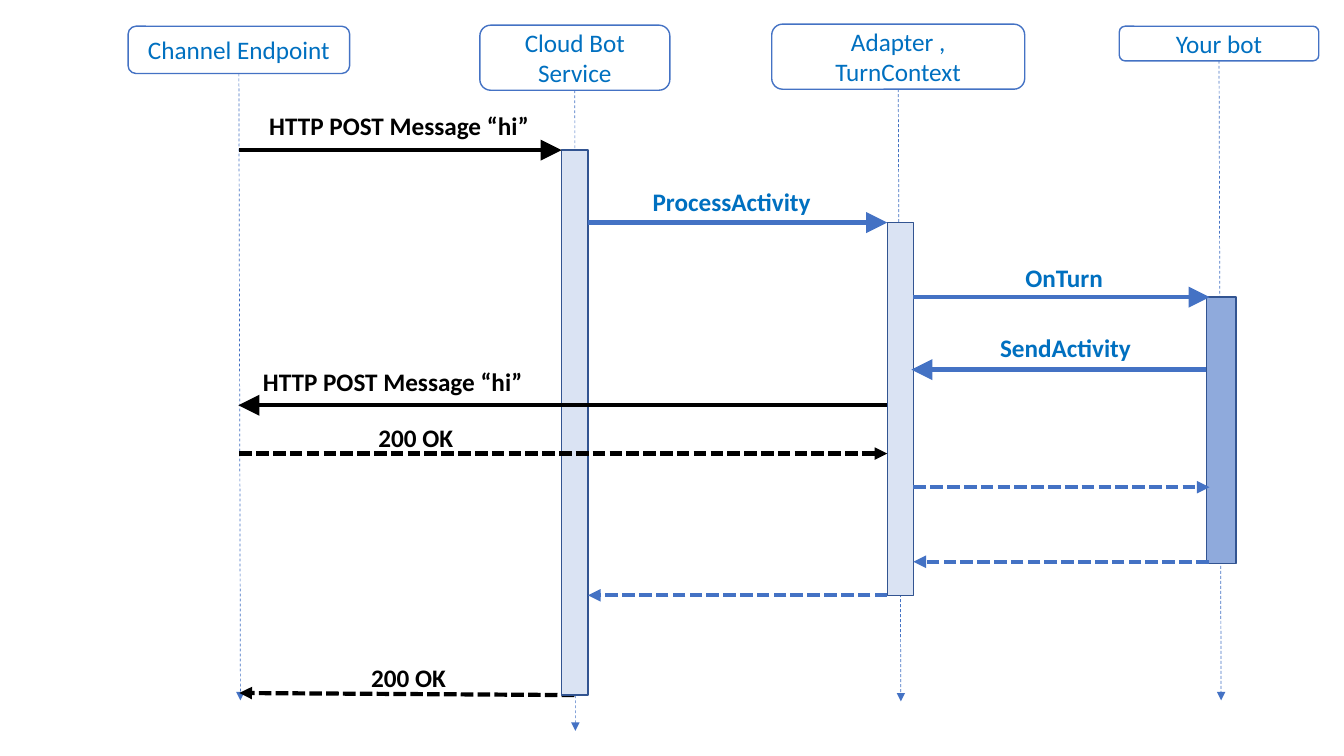
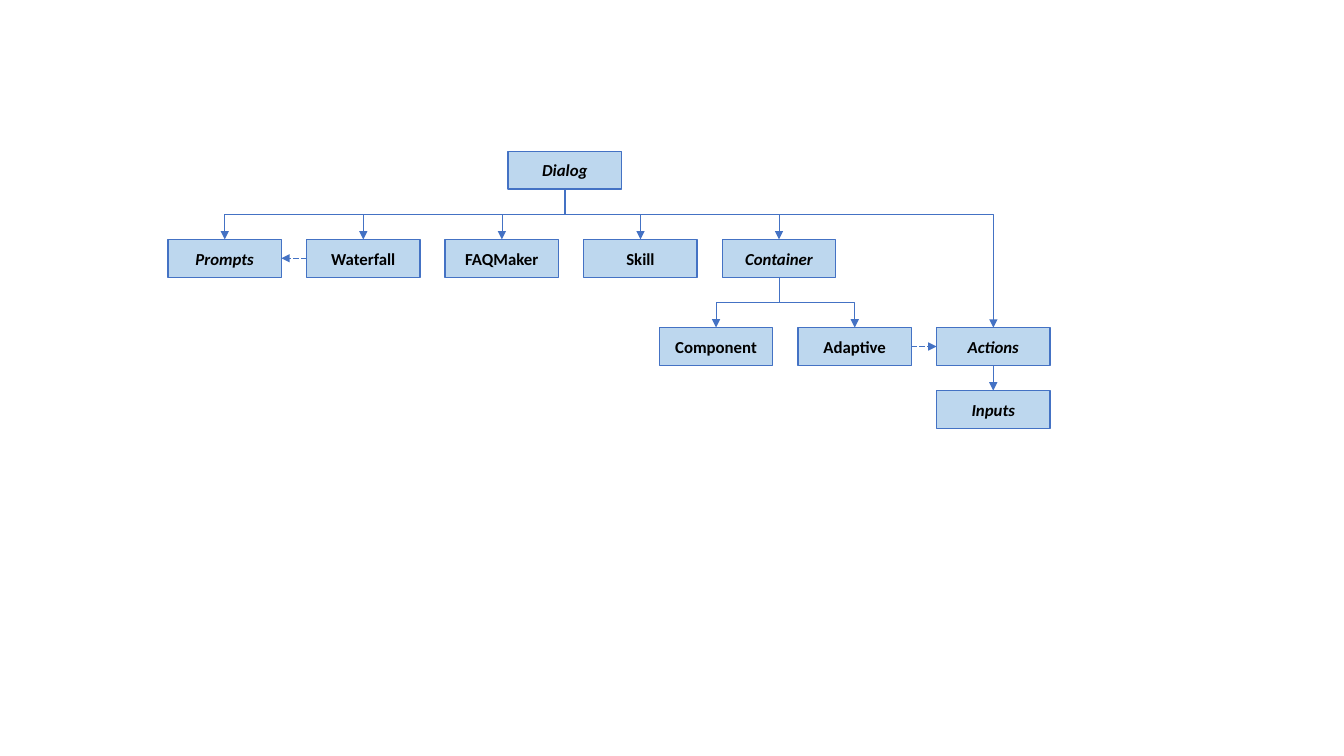
"""Build a bot message sequence slide and a dialog class tree slide."""
from dataclasses import dataclass
from typing import Optional

from lxml import etree
from pptx import Presentation
from pptx import util as u
from pptx.dml.color import RGBColor
from pptx.enum import dml, shapes, text
from pptx.oxml import ns
from pptx.shapes.autoshape import Shape
from pptx.shapes.connector import Connector
from pptx.slide import Slide

EMU_PER_PX = 9525
DASH = dml.MSO_LINE


@dataclass(frozen=True)
class Theme:
    """Colours, font and type sizes shared by the slides."""
    font: str = "Calibri"
    heading_size: int = 18
    node_size: int = 12
    blue: str = "4472C4"
    text_blue: str = "0070C0"
    black: str = "000000"
    bar_line: str = "325491"
    bar_light: str = "DAE3F3"
    bar_dark: str = "8FAADC"
    node_fill: str = "BDD7EE"
    thin: float = 0.5
    outline: float = 1
    thick: float = 3


THEME = Theme()


@dataclass(frozen=True)
class Box:
    """A rectangle in px."""
    left: int
    top: int
    width: int
    height: int

    def emu(self) -> tuple[u.Emu, ...]:
        """Return the rectangle in EMU."""
        return tuple(px(v) for v in (self.left, self.top, self.width, self.height))


@dataclass(frozen=True)
class Participant:
    """A named lifeline of the sequence."""
    name: str
    box: Box
    end_x: int
    end_y: int


@dataclass(frozen=True)
class Activation:
    """A bar on a lifeline."""
    box: Box
    fill: str


@dataclass(frozen=True)
class Message:
    """An arrow between lifelines; replies are dashed."""
    start: tuple[int, int]
    end: tuple[int, int]
    color: str
    reply: bool = False


@dataclass(frozen=True)
class Label:
    """The caption of a message."""
    caption: str
    left: int
    top: int
    width: int
    color: str
    wrap: bool = True


@dataclass(frozen=True)
class Node:
    """A class in the dialog tree; abstract ones are italic."""
    name: str
    left: int
    top: int
    abstract: bool = False


PARTICIPANTS = [
    Participant("Channel Endpoint", Box(122, 25, 211, 45), 229, 667),
    Participant("Cloud Bot Service", Box(457, 24, 181, 62), 548, 696),
    Participant("Adapter ,\nTurnContext", Box(735, 23, 241, 62), 858, 668),
    Participant("Your bot", Box(1066, 25, 190, 33), 1163, 667),
]
ACTIVATIONS = [
    Activation(Box(535, 143, 25, 519), THEME.bar_light),
    Activation(Box(845, 212, 25, 355), THEME.bar_light),
    Activation(Box(1149, 283, 28, 254), THEME.bar_dark),
]
FINAL_REPLY = Message((547, 662), (228, 660), THEME.black, True)
MESSAGES = [
    Message((228, 143), (535, 143), THEME.black),
    Message((560, 212), (845, 212), THEME.blue),
    Message((870, 283), (1152, 283), THEME.blue),
    Message((1149, 352), (868, 352), THEME.blue),
    Message((845, 386), (227, 386), THEME.black),
    Message((228, 432), (845, 432), THEME.black, True),
    Message((870, 464), (1152, 464), THEME.blue, True),
    Message((1151, 535), (870, 535), THEME.blue, True),
    Message((845, 567), (560, 567), THEME.blue, True),
]
LABELS = [
    Label("HTTP POST Message “hi”", 247, 100, 300, THEME.black),
    Label("ProcessActivity", 612, 173, 181, THEME.text_blue),
    Label("OnTurn", 967, 245, 102, THEME.text_blue),
    Label("SendActivity", 943, 312, 151, THEME.text_blue),
    Label("HTTP POST Message “hi”", 241, 344, 300, THEME.black),
    Label("200 OK", 351, 397, 91, THEME.black, False),
    Label("200 OK", 344, 626, 91, THEME.black, False),
]
LABEL_HEIGHT = 38

NODE_WIDTH, NODE_HEIGHT, NODE_PITCH = 108, 36, 132
BRANCH_DROP = 24
KINDS_LEFT, KINDS_TOP = 160, 228
CONTAINERS_LEFT, CONTAINERS_TOP = 628, 312
KINDS = [("Prompts", True), ("Waterfall", False), ("FAQMaker", False),
         ("Skill", False), ("Container", True)]
CONTAINERS = [("Component", False), ("Adaptive", False), ("Actions", True)]
NODES = [
    Node("Dialog", 484, 144, True),
    *(Node(name, KINDS_LEFT + i * NODE_PITCH, KINDS_TOP, abstract)
      for i, (name, abstract) in enumerate(KINDS)),
    *(Node(name, CONTAINERS_LEFT + i * NODE_PITCH, CONTAINERS_TOP, abstract)
      for i, (name, abstract) in enumerate(CONTAINERS)),
    Node("Inputs", CONTAINERS_LEFT + 2 * NODE_PITCH, 372, True),
]
BRANCHES = {
    "Dialog": [name for name, _ in KINDS] + ["Actions"],
    "Container": ["Component", "Adaptive"],
}


def px(value: float) -> u.Emu:
    """Turn px into EMU."""
    return u.Emu(round(value * EMU_PER_PX))


def rgb(color: str) -> RGBColor:
    """Turn a hex string into a colour."""
    return RGBColor.from_string(color)


def write(shape: Shape, words: str, size: int, color: str, align: text.PP_ALIGN,
          bold: bool = False, italic: bool = False) -> None:
    """Fill a shape with text in one style."""
    frame = shape.text_frame
    frame.text = words
    for paragraph in frame.paragraphs:
        paragraph.alignment = align
        font = paragraph.font
        font.name, font.size = THEME.font, u.Pt(size)
        font.bold, font.italic = bold, italic
        font.color.rgb = rgb(color)


def add_box(slide: Slide, kind: shapes.MSO_SHAPE, box: Box, line: str,
            fill: Optional[str] = None) -> Shape:
    """Draw an outlined shape with an optional fill."""
    shape = slide.shapes.add_shape(kind, *box.emu())
    shape.shadow.inherit = False
    shape.line.color.rgb = rgb(line)
    shape.line.width = u.Pt(THEME.outline)
    if fill:
        shape.fill.solid()
        shape.fill.fore_color.rgb = rgb(fill)
    else:
        shape.fill.background()
    shape.text_frame.word_wrap = True
    shape.text_frame.vertical_anchor = text.MSO_ANCHOR.MIDDLE
    return shape


def add_arrow(slide: Slide, start: tuple[int, int], end: tuple[int, int], color: str,
              width: float, dash: Optional[dml.MSO_LINE] = None, head: str = "med",
              kind: shapes.MSO_CONNECTOR = shapes.MSO_CONNECTOR.STRAIGHT) -> Connector:
    """Draw a connector that ends in a triangle."""
    arrow = slide.shapes.add_connector(kind, *(px(v) for v in (*start, *end)))
    arrow.line.color.rgb = rgb(color)
    arrow.line.width = u.Pt(width)
    if dash is not None:
        arrow.line.dash_style = dash
    properties = arrow.element.spPr
    etree.SubElement(properties.find(ns.qn("a:ln")), ns.qn("a:tailEnd"),
                     type="triangle", w=head, len=head)
    etree.SubElement(properties, ns.qn("a:effectLst"))
    return arrow


def link(slide: Slide, source: Shape, source_side: int, target: Shape, target_side: int,
         dash: Optional[dml.MSO_LINE] = None,
         kind: shapes.MSO_CONNECTOR = shapes.MSO_CONNECTOR.STRAIGHT) -> Connector:
    """Join the sides of two shapes with a thin arrow."""
    arrow = add_arrow(slide, (0, 0), (0, 0), THEME.blue, THEME.thin, dash, kind=kind)
    arrow.begin_connect(source, source_side)
    arrow.end_connect(target, target_side)
    return arrow


def branch(slide: Slide, parent: Shape, child: Shape) -> None:
    """Join a parent to a child with an elbow that drops, runs across and drops."""
    arrow = link(slide, parent, 2, child, 0, kind=shapes.MSO_CONNECTOR.ELBOW)
    start_x, end_x = parent.left + parent.width // 2, child.left + child.width // 2
    start_y, end_y = parent.top + parent.height, child.top
    across, down = abs(end_x - start_x), end_y - start_y
    arrow.left = u.Emu((start_x + end_x - down) // 2)
    arrow.top = u.Emu((start_y + end_y - across) // 2)
    arrow.width, arrow.height = u.Emu(down), u.Emu(across)
    properties = arrow.element.spPr
    frame = properties.find(ns.qn("a:xfrm"))
    for flip in ("flipH", "flipV"):
        frame.attrib.pop(flip, None)
    if end_x < start_x:
        frame.set("rot", "5400000")
    else:
        frame.set("rot", "16200000")
        frame.set("flipH", "1")
    geometry = properties.find(ns.qn("a:prstGeom"))
    guides = geometry.find(ns.qn("a:avLst"))
    if guides is None:
        guides = etree.SubElement(geometry, ns.qn("a:avLst"))
    bend = round(px(BRANCH_DROP) / down * 100000)
    etree.SubElement(guides, ns.qn("a:gd"), name="adj1", fmla=f"val {bend}")


def add_message(slide: Slide, message: Message) -> None:
    """Draw one message arrow."""
    add_arrow(slide, message.start, message.end, message.color, THEME.thick,
              DASH.SQUARE_DOT if message.reply else None,
              "med" if message.reply else "lg")


def build_sequence(slide: Slide) -> None:
    """Draw the message sequence."""
    for item in PARTICIPANTS:
        head = add_box(slide, shapes.MSO_SHAPE.ROUNDED_RECTANGLE, item.box, THEME.blue)
        write(head, item.name, THEME.heading_size, THEME.text_blue, text.PP_ALIGN.CENTER)
        end = (item.end_x, item.end_y)
        lifeline = add_arrow(slide, end, end, THEME.blue, THEME.thin, DASH.DASH)
        lifeline.begin_connect(head, 2)
    add_message(slide, FINAL_REPLY)
    for bar in ACTIVATIONS:
        add_box(slide, shapes.MSO_SHAPE.RECTANGLE, bar.box, THEME.bar_line, bar.fill)
    for message in MESSAGES:
        add_message(slide, message)
    for label in LABELS:
        box = Box(label.left, label.top, label.width, LABEL_HEIGHT)
        caption = slide.shapes.add_textbox(*box.emu())
        caption.text_frame.word_wrap = label.wrap
        write(caption, label.caption, THEME.heading_size, label.color,
              text.PP_ALIGN.LEFT, bold=True)


def build_tree(slide: Slide) -> None:
    """Draw the dialog class tree."""
    drawn: dict[str, Shape] = {}
    for node in NODES:
        box = Box(node.left, node.top, NODE_WIDTH, NODE_HEIGHT)
        shape = add_box(slide, shapes.MSO_SHAPE.RECTANGLE, box, THEME.blue, THEME.node_fill)
        write(shape, node.name, THEME.node_size, THEME.black, text.PP_ALIGN.CENTER,
              bold=True, italic=node.abstract)
        drawn[node.name] = shape
    for parent, children in BRANCHES.items():
        for child in children:
            branch(slide, drawn[parent], drawn[child])
    link(slide, drawn["Actions"], 2, drawn["Inputs"], 0)
    link(slide, drawn["Waterfall"], 1, drawn["Prompts"], 3, DASH.LONG_DASH)
    link(slide, drawn["Adaptive"], 3, drawn["Actions"], 1, DASH.LONG_DASH)


def main() -> None:
    """Build and save the presentation."""
    presentation = Presentation()
    presentation.slide_width, presentation.slide_height = px(1280), px(720)
    blank = presentation.slide_layouts[6]
    for build in (build_sequence, build_tree):
        build(presentation.slides.add_slide(blank))
    presentation.save("out.pptx")


if __name__ == "__main__":
    main()
